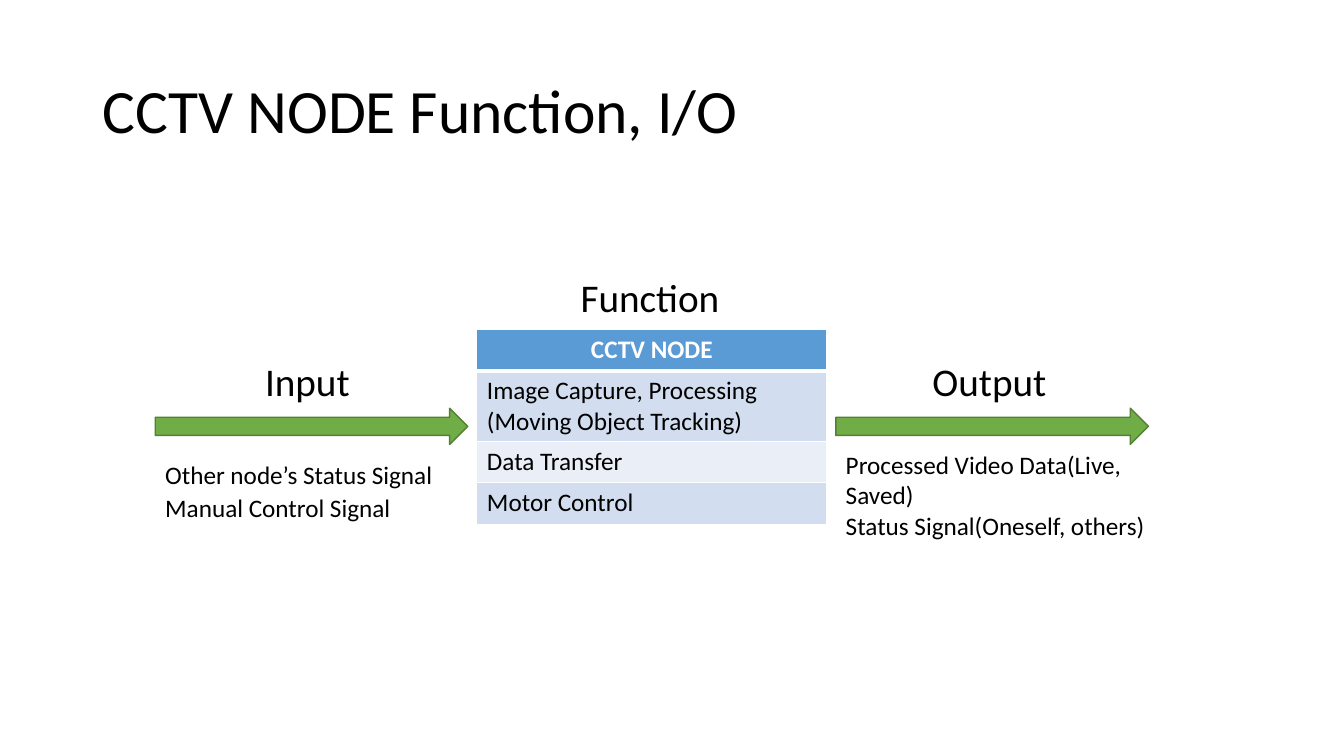
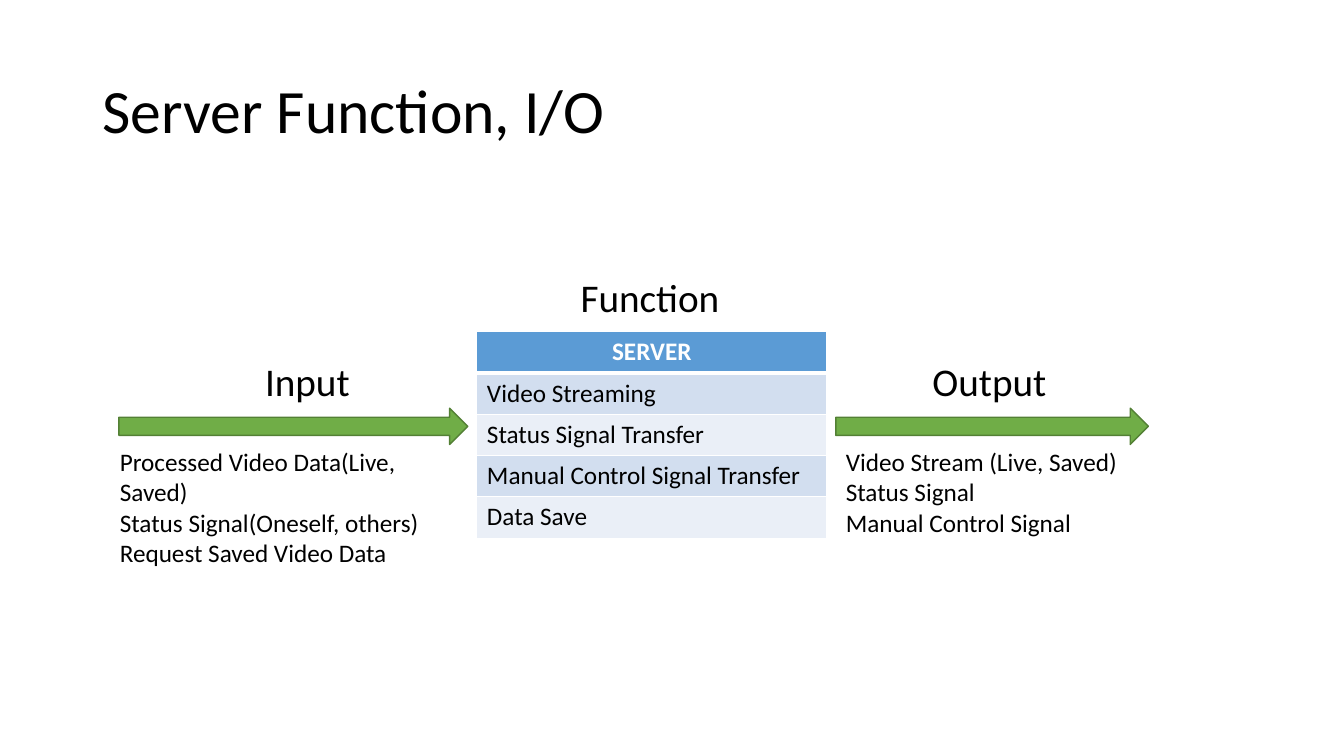
from dataclasses import dataclass

from lxml import etree
from pptx import Presentation
from pptx.dml.color import RGBColor
from pptx.enum.shapes import MSO_SHAPE
from pptx.enum.text import MSO_ANCHOR, PP_ALIGN
from pptx.oxml.ns import qn
from pptx.util import Inches, Pt


@dataclass(frozen=True)
class Theme:
    """Colours, font and type sizes shared by the slides."""
    font: str = "Calibri"
    ink: RGBColor = RGBColor.from_string("000000")
    white: RGBColor = RGBColor.from_string("FFFFFF")
    header: RGBColor = RGBColor.from_string("5B9BD5")
    bands: tuple = (RGBColor.from_string("D2DEEF"), RGBColor.from_string("EAEFF7"))
    arrow: RGBColor = RGBColor.from_string("70AD47")
    arrow_line: RGBColor = RGBColor.from_string("538035")
    title: int = 44
    label: int = 28
    body: int = 18


theme = Theme()


def write(frame, lines, size, color=theme.ink, bold=False, align=None, spacing=None):
    """Fill a text frame with one paragraph for each line."""
    frame.word_wrap = True
    for index, line in enumerate(lines):
        para = frame.paragraphs[0] if index == 0 else frame.add_paragraph()
        para.alignment = align
        para.line_spacing = spacing
        span = para.add_run()
        span.text = line
        span.font.name = theme.font
        span.font.size = Pt(size)
        span.font.bold = bold
        span.font.color.rgb = color


def add_border(cell, side, points):
    """Draw a white border on one side of a table cell."""
    properties = cell._tc.get_or_add_tcPr()
    line = etree.SubElement(properties, qn(f"a:ln{side}"), w=str(Pt(points)))
    fill = etree.SubElement(line, qn("a:solidFill"))
    etree.SubElement(fill, qn("a:srgbClr"), val=str(theme.white))


# Labels, arrows and table columns stand in the same place on both slides.
labels = [("Input", 2.53, 3.5, 1.12), ("Output", 9.15, 3.5, 1.38), ("Function", 5.66, 2.66, 1.61)]
arrow_top, arrow_height = 4.05, 0.36
input_end, output_start, output_end = 4.64, 8.29, 11.39
table_left, table_width = 4.73, 3.47
row_height, extra_line = 0.41, 0.28
note_line = 0.31

# Each note is (left, top, width, lines).
slides = [
    {
        "title": "CCTV NODE Function, I/O",
        "input_start": 1.54,
        "table_top": 3.27,
        "rows": [
            ["CCTV NODE"],
            ["Image Capture, Processing", "(Moving Object Tracking)"],
            ["Data Transfer"],
            ["Motor Control"],
        ],
        "notes": [
            (1.54, 4.51, 2.95, ["Other node’s Status Signal"]),
            (1.54, 4.83, 2.95, ["Manual Control Signal"]),
            (8.29, 4.41, 3.63, ["Processed Video Data(Live, Saved)", "Status Signal(Oneself, others)"]),
        ],
    },
    {
        "title": "Server Function, I/O",
        "input_start": 1.18,
        "table_top": 3.29,
        "rows": [
            ["SERVER"],
            ["Video Streaming"],
            ["Status Signal Transfer"],
            ["Manual Control Signal Transfer"],
            ["Data Save"],
        ],
        "notes": [
            (1.09, 4.38, 3.63, ["Processed Video Data(Live, Saved)", "Status Signal(Oneself, others)",
                                "Request Saved Video Data"]),
            (8.29, 4.38, 3.19, ["Video Stream (Live, Saved)", "Status Signal", "Manual Control Signal"]),
        ],
    },
]

deck = Presentation()
deck.slide_width, deck.slide_height = Inches(13.33), Inches(7.5)

for content in slides:
    page = deck.slides.add_slide(deck.slide_layouts[6])

    title_box = page.shapes.add_textbox(Inches(0.92), Inches(0.4), Inches(11.5), Inches(1.45))
    title_box.text_frame.vertical_anchor = MSO_ANCHOR.MIDDLE
    write(title_box.text_frame, [content["title"]], theme.title, spacing=0.9)

    rows = content["rows"]
    heights = [row_height + extra_line * (len(lines) - 1) for lines in rows]
    table = page.shapes.add_table(
        len(rows), 1, Inches(table_left), Inches(content["table_top"]),
        Inches(table_width), Inches(sum(heights))).table
    for index, lines in enumerate(rows):
        table.rows[index].height = Inches(heights[index])
        cell = table.cell(index, 0)
        is_header = index == 0
        for side in "LRTB":
            under_header = (index, side) in ((0, "B"), (1, "T"))
            add_border(cell, side, 3 if under_header else 1)
        cell.fill.solid()
        cell.fill.fore_color.rgb = theme.header if is_header else theme.bands[(index - 1) % 2]
        write(cell.text_frame, lines, theme.body,
              color=theme.white if is_header else theme.ink, bold=is_header,
              align=PP_ALIGN.CENTER if is_header else PP_ALIGN.LEFT)

    for start, end in [(content["input_start"], input_end), (output_start, output_end)]:
        arrow = page.shapes.add_shape(
            MSO_SHAPE.RIGHT_ARROW, Inches(start), Inches(arrow_top),
            Inches(end - start), Inches(arrow_height))
        arrow.shadow.inherit = False
        arrow.fill.solid()
        arrow.fill.fore_color.rgb = theme.arrow
        arrow.line.color.rgb = theme.arrow_line
        arrow.line.width = Pt(1)

    for left, top, width, lines in content["notes"]:
        note_box = page.shapes.add_textbox(
            Inches(left), Inches(top), Inches(width), Inches(0.1 + note_line * len(lines)))
        write(note_box.text_frame, lines, theme.body)

    for text, left, top, width in labels:
        label_box = page.shapes.add_textbox(Inches(left), Inches(top), Inches(width), Inches(0.57))
        write(label_box.text_frame, [text], theme.label)

deck.save("out.pptx")
